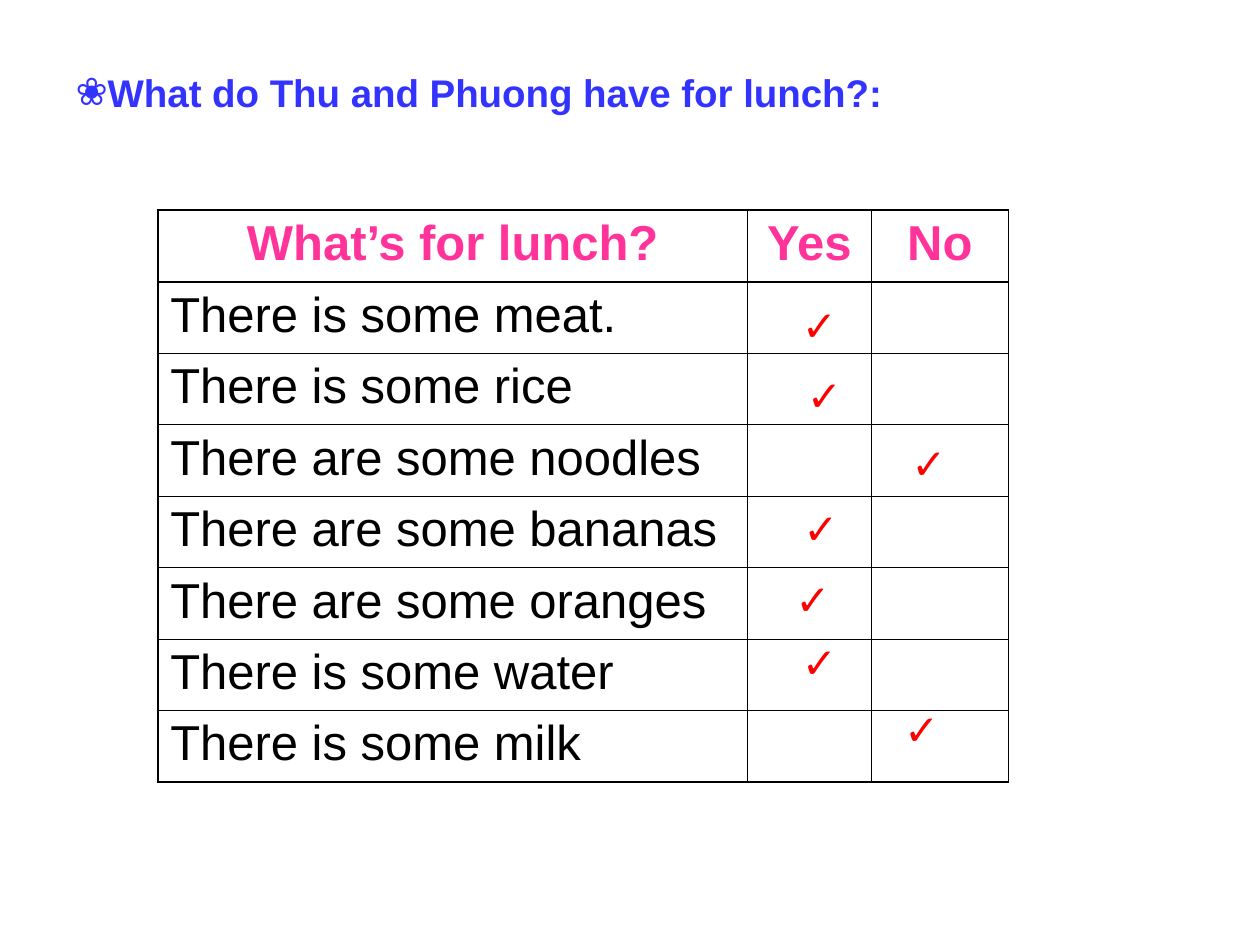
import pptx
import pptx.util
import pptx.dml.color
import pptx.enum.text
from lxml import etree
from pptx.oxml.ns import qn
from pptx.util import Cm

COLORS = {"heading": "3333FF", "header": "FF3399", "text": "000000",
          "border": "000000", "tick": "FF0000"}
ALIGN = pptx.enum.text.PP_ALIGN
ANCHOR = pptx.enum.text.MSO_ANCHOR
HEADERS = ["What’s for lunch?", "Yes", "No"]
FOODS = ["There is some meat.", "There is some rice", "There are some noodles",
         "There are some bananas", "There are some oranges",
         "There is some water", "There is some milk"]
COLUMN_WIDTHS = [11.89, 2.49, 2.77]
ROW_HEIGHT = 1.44
TICKS = [(15.57, 5.92), (15.67, 7.32), (17.78, 8.69), (15.6, 10.01),
         (15.44, 11.43), (15.57, 12.7), (17.63, 14.05)]
THICK, THIN = 1.08, 0.45


def write_text(frame, text, *, size, color, bold=False, align=ALIGN.LEFT, bullet=None):
    """Write one formatted paragraph into a text frame."""
    frame.word_wrap = True
    para = frame.paragraphs[0]
    para.alignment = align
    para.space_before = pptx.util.Pt(0)
    if bullet:
        properties = para._p.get_or_add_pPr()
        properties.set("marL", "0")
        properties.set("indent", "0")
        bullet_color = etree.SubElement(properties, qn("a:buClr"))
        etree.SubElement(bullet_color, qn("a:srgbClr"), val=COLORS[color])
        etree.SubElement(properties, qn("a:buFont"), typeface="Arial")
        etree.SubElement(properties, qn("a:buChar"), char=bullet)
    span = para.add_run()
    span.text = text
    span.font.name = "Arial"
    span.font.size = pptx.util.Pt(size)
    span.font.bold = bold
    span.font.color.rgb = pptx.dml.color.RGBColor.from_string(COLORS[color])


def add_heading(page, text):
    """Place the bulleted title."""
    box = page.shapes.title
    box.left, box.top, box.width, box.height = Cm(1.27), Cm(1.27), Cm(22.86), Cm(1.19)
    box.text_frame.vertical_anchor = ANCHOR.TOP
    write_text(box.text_frame, text, size=22, color="heading", bold=True, bullet="❀")


def set_borders(cell, widths):
    """Draw the left, right, top and bottom borders of a cell."""
    properties = cell._tc.get_or_add_tcPr()
    for side, width in zip("LRTB", widths):
        line = etree.SubElement(properties, qn(f"a:ln{side}"), w=str(pptx.util.Pt(width)))
        fill = etree.SubElement(line, qn("a:solidFill"))
        etree.SubElement(fill, qn("a:srgbClr"), val=COLORS["border"])


def add_lunch_table(page):
    """Add the checklist with thick lines around it and under its header."""
    rows, columns = len(FOODS) + 1, len(HEADERS)
    table = page.shapes.add_table(rows, columns, Cm(3.18), Cm(4.24),
                                  Cm(sum(COLUMN_WIDTHS)), Cm(rows * ROW_HEIGHT)).table
    table.first_row = table.horz_banding = False
    for column, width in zip(table.columns, COLUMN_WIDTHS):
        column.width = Cm(width)
    for row in table.rows:
        row.height = Cm(ROW_HEIGHT)
    for i in range(rows):
        for j in range(columns):
            cell = table.cell(i, j)
            thick_sides = (j == 0, j == columns - 1, i <= 1, i in (0, rows - 1))
            set_borders(cell, [THICK if thick else THIN for thick in thick_sides])
            cell.fill.background()
    for j, header in enumerate(HEADERS):
        write_text(table.cell(0, j).text_frame, header, size=28, color="header",
                   bold=True, align=ALIGN.CENTER)
    for i, food in enumerate(FOODS, start=1):
        write_text(table.cell(i, 0).text_frame, food, size=28, color="text")


def add_tick(page, left, top):
    """Add one tick mark."""
    box = page.shapes.add_textbox(Cm(left), Cm(top), Cm(1.9), Cm(1.27))
    write_text(box.text_frame, "✓", size=24, color="tick", bold=True, align=ALIGN.CENTER)


def main():
    """Build and save the lunch slide."""
    deck = pptx.Presentation()
    deck.slide_width, deck.slide_height = Cm(25.4), Cm(19.05)
    page = deck.slides.add_slide(deck.slide_layouts[5])
    add_heading(page, "What do Thu and Phuong have for lunch?:")
    add_lunch_table(page)
    for left, top in TICKS:
        add_tick(page, left, top)
    deck.save("out.pptx")


if __name__ == "__main__":
    main()
